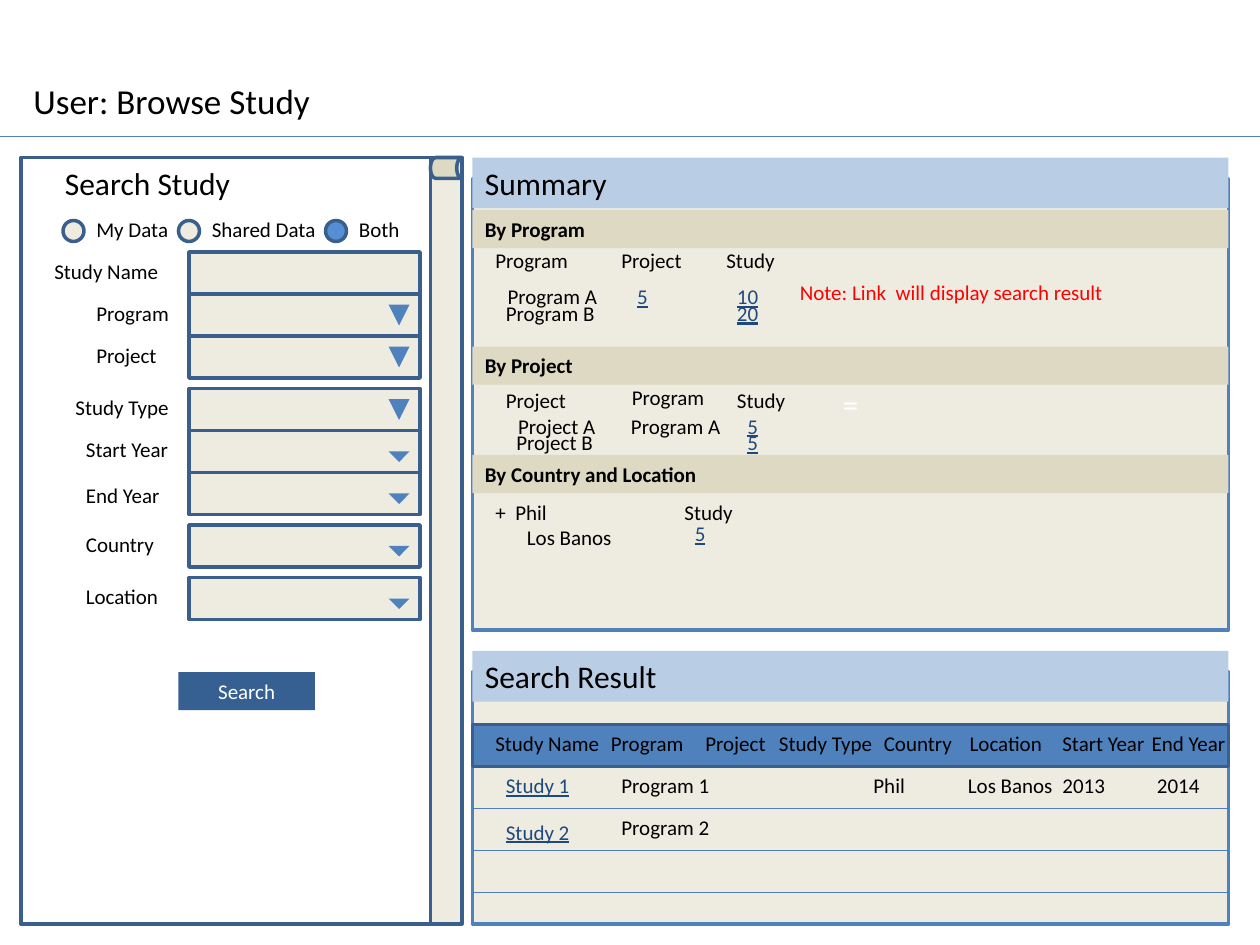
from dataclasses import dataclass

from lxml.etree import SubElement
from pptx import Presentation
from pptx.dml.color import RGBColor
from pptx.enum.shapes import MSO_CONNECTOR, MSO_SHAPE
from pptx.enum.text import MSO_ANCHOR, MSO_AUTO_SIZE, PP_ALIGN
from pptx.oxml.ns import qn
from pptx.util import Pt


@dataclass(frozen=True)
class Theme:
    """Colours, font and type sizes of the slide."""
    font: str = "Calibri"
    title: int = 20
    heading: int = 18
    body: int = 12
    black: str = "000000"
    white: str = "FFFFFF"
    red: str = "FF0000"
    link: str = "1F497D"
    accent: str = "4F81BD"
    outline: str = "3A5F8C"
    rule: str = "4B7EBC"
    button: str = "376092"
    selected: str = "558ED5"
    header: str = "B9CDE5"
    band: str = "DDD9C3"
    cream: str = "EEECE1"


THEME = Theme()
LABEL_HEIGHT = 21.8
RESULT_LEFT, RESULT_WIDTH = 270, 432
FIELD_LEFT, FIELD_WIDTH, ROW_HEIGHT = 108, 132, 24

# text, label left, label top, label width, field top, arrow height
FIELDS = [
    ("Study Name", 24, 144, 77, 144, 0),
    ("Program", 48, 168, 59, 168, 12),
    ("Project", 48, 192, 50, 192, 12),
    ("Study Type", 36, 222, 70.5, 222, 12),
    ("Start Year", 42, 246, 62, 246, 6),
    ("End Year", 42, 272, 57, 270, 6),
    ("Country", 42, 300, 53.5, 300, 6),
    ("Location", 42, 330, 56, 330, 6),
]
CHOICES = [
    ("My Data", 36, 56, THEME.cream),
    ("Shared Data", 102, 77, THEME.cream),
    ("Both", 186, 38, THEME.selected),
]
BANDS = [("By Program", 120), ("By Project", 198), ("By Country and Location", 260)]
SUMMARY_LABELS = [
    ("Program", 276, 138, 59), ("Project", 348, 138, 50), ("Study", 408, 138, 42.5),
    ("Program A", 283, 158.5, 69), ("Program B", 282, 168, 68),
    ("Project", 282, 218, 50), ("Program", 354, 216, 56), ("Study", 414, 218, 42.5),
    ("Project A", 289, 232.5, 62), ("Program A", 353.5, 232.5, 66),
    ("Project B", 288, 242, 61),
    ("+  Phil", 276, 282, 60), ("Los Banos", 294, 296, 63), ("Study", 384, 282, 42.5),
]
SUMMARY_LINKS = [
    ("5", 357, 158.5, 21), ("10", 414, 158.5, 27), ("20", 414, 168, 27),
    ("5", 420, 232.5, 21), ("5", 420, 242, 21), ("5", 390, 294, 21),
]
RESULT_LABELS = [
    ("Study Name", 276, 414, 77), ("Program", 342, 414, 59), ("Project", 396, 414, 50),
    ("Study Type", 438, 414, 70.5), ("Country", 498, 414, 56),
    ("Location", 547, 414, 59), ("Start Year", 600, 414, 72), ("End Year", 651, 414, 57),
    ("Program 1", 348, 438, 65.5), ("Phil", 492, 438, 32.5), ("Los Banos", 546, 438, 63),
    ("2013", 600, 438, 39.5), ("2014", 654, 438, 39.5), ("Program 2", 348, 462, 65.5),
]
RESULT_LINKS = [("Study 1", 282, 438, 51), ("Study 2", 282, 464.5, 51)]


def color(value):
    """Return the colour object of a hex value."""
    return RGBColor.from_string(value)


def apply(target, values):
    """Set each named attribute on the target."""
    for name, value in values.items():
        setattr(target, name, value)


def write(shape, text, size, ink, wrap=True, anchor=MSO_ANCHOR.TOP,
          align=PP_ALIGN.LEFT, fit=MSO_AUTO_SIZE.SHAPE_TO_FIT_TEXT, **extra):
    """Put one formatted line of text into a shape."""
    apply(shape.text_frame, {"text": text, "word_wrap": wrap,
                             "auto_size": fit, "vertical_anchor": anchor})
    paragraph = shape.text_frame.paragraphs[0]
    paragraph.alignment = align
    font = paragraph.runs[0].font
    apply(font, {"name": THEME.font, "size": Pt(size), **extra})
    font.color.rgb = color(ink)


def add_label(slide, text, left, top, width, ink=THEME.black, size=THEME.body,
              height=LABEL_HEIGHT, **extra):
    """Add an unwrapped line of text."""
    box = slide.shapes.add_textbox(Pt(left), Pt(top), Pt(width), Pt(height))
    write(box, text, size, ink, wrap=False, **extra)


def add_box(shapes, left, top, width, height, fill, outline=None,
            kind=MSO_SHAPE.RECTANGLE):
    """Add a flat filled shape with an optional outline."""
    shape = shapes.add_shape(kind, Pt(left), Pt(top), Pt(width), Pt(height))
    shape.shadow.inherit = False
    shape.fill.solid()
    shape.fill.fore_color.rgb = color(fill)
    if outline:
        shape.line.color.rgb = color(outline)
        shape.line.width = Pt(2)
    else:
        shape.line.fill.background()
    return shape


def add_bar(slide, text, top, height, fill, size, **extra):
    """Add a titled bar across the right column."""
    bar = add_box(slide.shapes, RESULT_LEFT, top, RESULT_WIDTH, height, fill)
    write(bar, text, size, THEME.black, **extra)


def add_rule(slide, left, right, top, ink):
    """Add a thin horizontal line."""
    rule = slide.shapes.add_connector(
        MSO_CONNECTOR.STRAIGHT, Pt(left), Pt(top), Pt(right), Pt(top))
    rule.line.color.rgb = color(ink)
    rule.line.width = Pt(0.75)
    SubElement(rule._element.spPr, qn("a:effectLst"))


def add_field(slide, top, arrow_height):
    """Add an input field, grouped with its drop-down arrow if it has one."""
    shapes = slide.shapes.add_group_shape().shapes if arrow_height else slide.shapes
    add_box(shapes, FIELD_LEFT, top, FIELD_WIDTH, ROW_HEIGHT, THEME.cream, THEME.outline)
    if arrow_height:
        arrow = add_box(shapes, 222, top + 18 - arrow_height, 12, arrow_height,
                        THEME.accent, kind=MSO_SHAPE.ISOSCELES_TRIANGLE)
        arrow.rotation = 180


def add_labels(slide, labels, links):
    """Add plain labels and underlined links."""
    for label in labels:
        add_label(slide, *label)
    for link in links:
        add_label(slide, *link, ink=THEME.link, underline=True)


def add_search_panel(slide):
    """Add the search form with its scroll bar."""
    add_box(slide.shapes, 12, 90, 234, 438, THEME.white, THEME.outline)
    add_label(slide, "Search Study", 30, 90, 110, size=THEME.heading, height=29)
    for text, left, top, width, field_top, arrow_height in FIELDS:
        add_label(slide, text, left, top, width)
        add_field(slide, field_top, arrow_height)
    add_box(slide.shapes, 246, 90, 18, 438, THEME.cream, THEME.outline)
    add_box(slide.shapes, 246, 90, 18, 12, THEME.band, THEME.outline,
            MSO_SHAPE.FLOWCHART_STORED_DATA)
    for text, left, width, fill in CHOICES:
        add_box(slide.shapes, left, 126, 12, 12, fill, THEME.outline, MSO_SHAPE.OVAL)
        add_label(slide, text, left + 12, 120, width)
    button = add_box(slide.shapes, 102, 384, 78, LABEL_HEIGHT, THEME.button)
    write(button, "Search", THEME.body, THEME.white, align=PP_ALIGN.CENTER)


def add_summary(slide):
    """Add the summary panel."""
    panel = add_box(slide.shapes, RESULT_LEFT, 102, RESULT_WIDTH, 258,
                    THEME.cream, THEME.accent)
    write(panel, "=", THEME.heading, THEME.white, anchor=MSO_ANCHOR.MIDDLE,
          align=PP_ALIGN.CENTER, fit=MSO_AUTO_SIZE.NONE)
    add_bar(slide, "Summary", 90, 29, THEME.header, THEME.heading)
    for text, top in BANDS:
        add_bar(slide, text, top, LABEL_HEIGHT, THEME.band, THEME.body, bold=True)
    add_labels(slide, SUMMARY_LABELS, SUMMARY_LINKS)
    add_label(slide, "Note: Link  will display search result", 450, 156, 189, THEME.red)


def add_search_result(slide):
    """Add the search result panel."""
    add_box(slide.shapes, RESULT_LEFT, 384, RESULT_WIDTH, 144, THEME.cream, THEME.accent)
    add_bar(slide, "Search Result", 372, 29, THEME.header, THEME.heading)
    add_box(slide.shapes, RESULT_LEFT, 414, RESULT_WIDTH, ROW_HEIGHT,
            THEME.accent, THEME.outline)
    for row in range(3):
        add_rule(slide, RESULT_LEFT, RESULT_LEFT + RESULT_WIDTH,
                 462 + row * ROW_HEIGHT, THEME.rule)
    add_labels(slide, RESULT_LABELS, RESULT_LINKS)


def main():
    """Build and save the slide."""
    presentation = Presentation()
    apply(presentation, {"slide_width": Pt(720), "slide_height": Pt(540)})
    slide = presentation.slides.add_slide(presentation.slide_layouts[6])
    title = slide.shapes.add_textbox(Pt(12), Pt(42), Pt(396), Pt(31.5))
    write(title, "User: Browse Study", THEME.title, THEME.black)
    add_rule(slide, 0, 720, 78, THEME.accent)
    add_search_panel(slide)
    add_summary(slide)
    add_search_result(slide)
    presentation.save("out.pptx")


if __name__ == "__main__":
    main()
